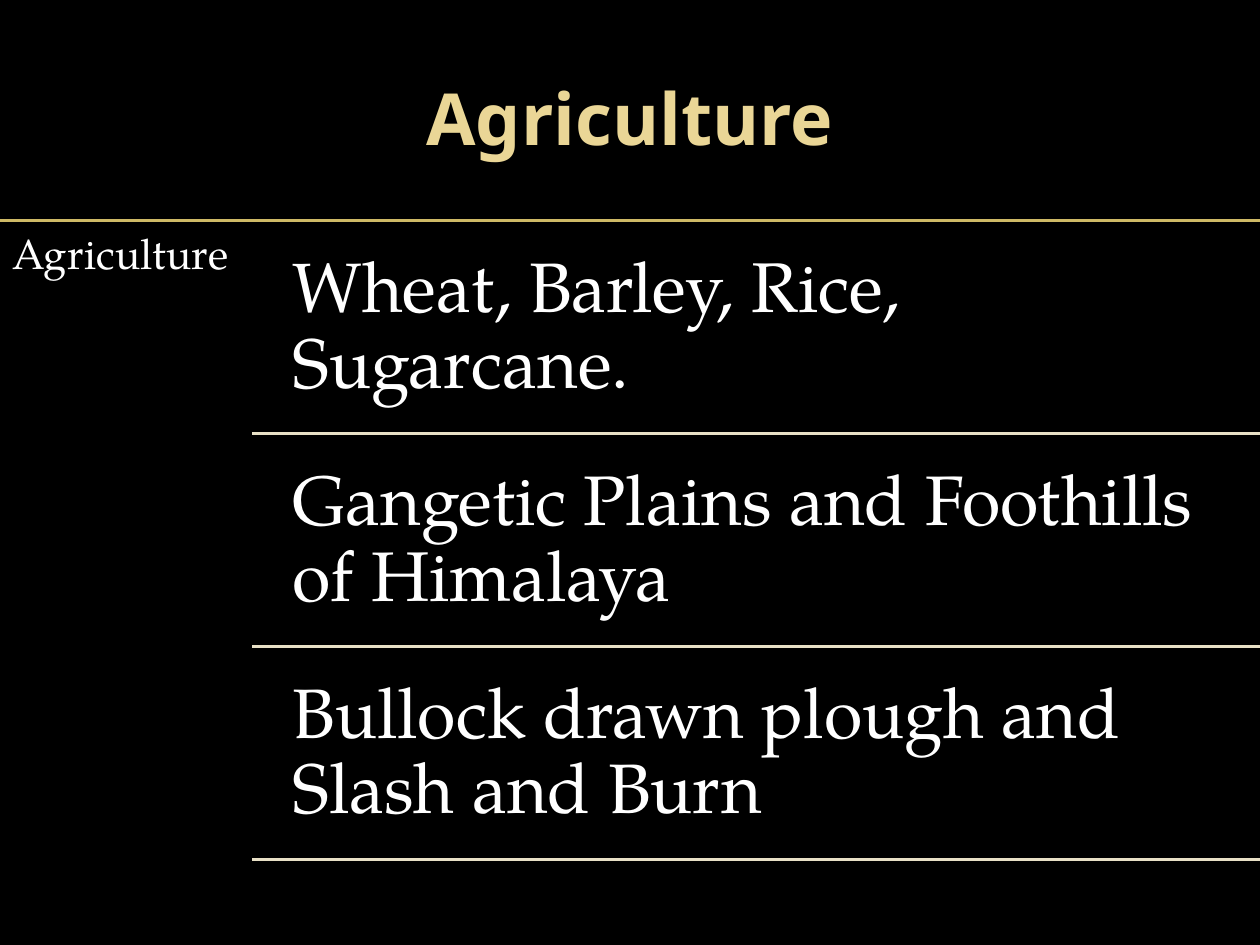
from dataclasses import dataclass
from pptx import Presentation
from pptx.dml.color import RGBColor as Rgb
from pptx.enum.shapes import MSO_CONNECTOR as Conn
from pptx.enum.text import MSO_ANCHOR as Anchor, PP_ALIGN as Align
from pptx.oxml.ns import qn
from pptx.util import Inches, Pt
from lxml.etree import SubElement


@dataclass
class Theme:
    back: str = "000000"
    gold: str = "EAD696"
    rule: str = "CEB966"
    pale: str = "E8E0C6"
    text: str = "FFFFFF"
    head: str = "Noto Sans"
    body: str = "TeX Gyre Pagella"
    title: int = 41
    label: int = 24
    item: int = 40


theme = Theme()
deck = Presentation()
deck.slide_width, deck.slide_height = Inches(10), Inches(7.5)
slide = deck.slides.add_slide(deck.slide_layouts[6])
slide.background.fill.solid()
slide.background.fill.fore_color.rgb = Rgb.from_string(theme.back)


def add_text(words, box, size, face, color, inset):
    frame = slide.shapes.add_textbox(*map(Inches, box)).text_frame
    frame.word_wrap = True
    frame.margin_left = frame.margin_right = Inches(inset)
    frame.margin_top = frame.margin_bottom = Inches(inset)
    para = frame.paragraphs[0]
    para.text = words
    para.font.size, para.font.name = Pt(size), face
    para.font.color.rgb = Rgb.from_string(color)
    para.line_spacing = 0.9
    return frame


def add_rule(left, top, color):
    line = slide.shapes.add_connector(
        Conn.STRAIGHT, Inches(left), Inches(top), deck.slide_width, Inches(top))
    line.line.color.rgb = Rgb.from_string(color)
    line.line.width = Pt(2)
    SubElement(line._element.spPr, qn("a:effectLst"))


# Title
frame = add_text("Agriculture", (0.5, 0.3, 9, 1.25),
                 theme.title, theme.head, theme.gold, 0.1)
frame.vertical_anchor = Anchor.MIDDLE
para = frame.paragraphs[0]
para.alignment, para.font.bold, para.line_spacing = Align.CENTER, True, 1.0

# Topic column
top, side, gap, row = 1.75, 2, 0.08, 1.61
add_rule(0, top, theme.rule)
add_text("Agriculture", (0, top, side, 5.15),
         theme.label, theme.body, theme.text, 0.1)

# Item rows, each closed by a rule
items = ["Wheat, Barley, Rice, Sugarcane.",
         "Gangetic Plains and Foothills of Himalaya",
         "Bullock drawn plough and Slash and Burn"]
for i, item in enumerate(items):
    y = top + gap + i * (row + gap)
    add_text(item, (2.15, y, 7.85, row),
             theme.item, theme.body, theme.text, 0.17)
    add_rule(side, y + row, theme.pale)

deck.save("out.pptx")
